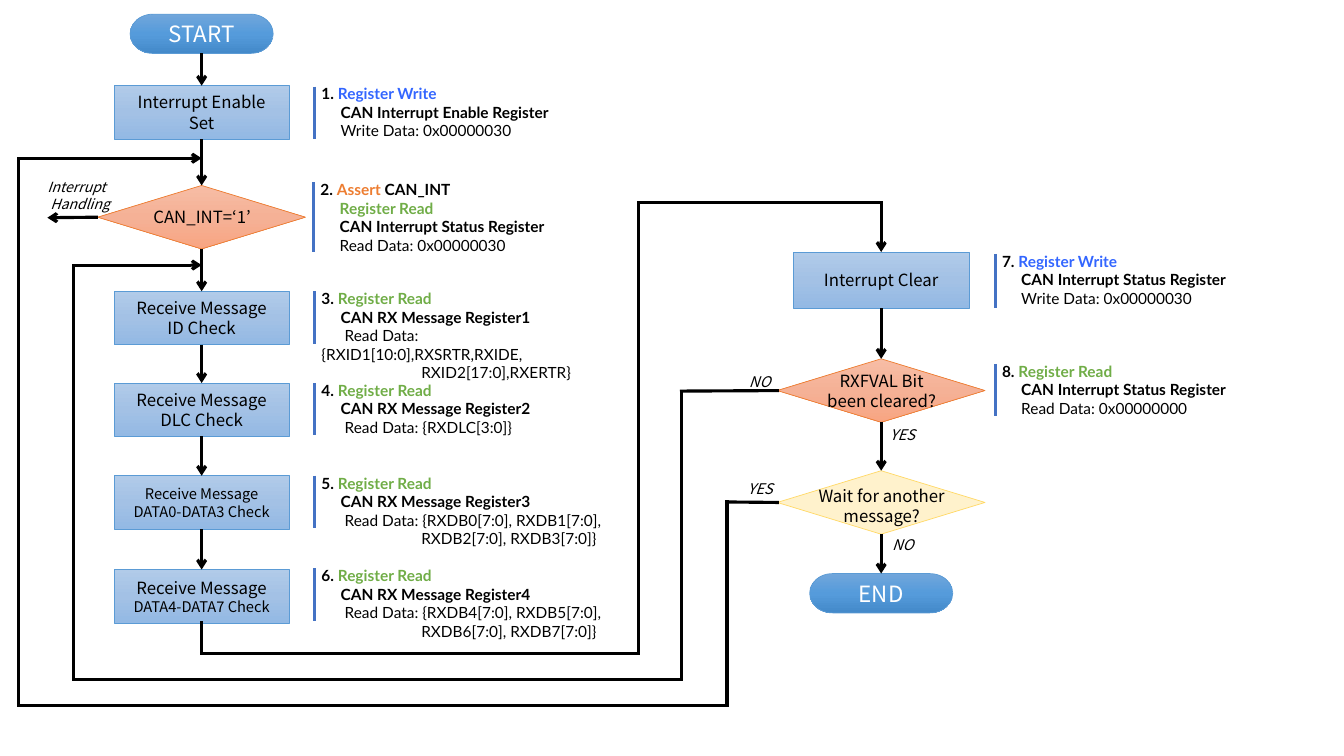
import copy
import dataclasses
import typing

import lxml.etree
import pptx
import pptx.dml.color
import pptx.enum.shapes
import pptx.enum.text
import pptx.oxml.ns
import pptx.util

RGB = pptx.dml.color.RGBColor
SHAPE = pptx.enum.shapes.MSO_SHAPE
ALIGN = pptx.enum.text.PP_ALIGN
ANCHOR = pptx.enum.text.MSO_ANCHOR
AUTO_SIZE = pptx.enum.text.MSO_AUTO_SIZE
qn = pptx.oxml.ns.qn

PX = 9144  # EMU; 100 px to the inch
BOX_FONT = "Noto Sans CJK JP"
NOTE_FONT = "Lato"
BLACK = RGB(0x00, 0x00, 0x00)
WHITE = RGB(0xFF, 0xFF, 0xFF)
STEP_LINE = RGB(0x5B, 0x9B, 0xD5)
CHECK_LINE = RGB(0xED, 0x7D, 0x31)
WAIT_FILL = RGB(0xFF, 0xF2, 0xCC)
WAIT_LINE = RGB(0xFF, 0xD9, 0x66)
BAR_BLUE = RGB(0x44, 0x72, 0xC4)
WRITE_BLUE = RGB(0x33, 0x66, 0xFF)
READ_GREEN = RGB(0x70, 0xAD, 0x47)
END_FILLS = (RGB(0x71, 0xA6, 0xDB), RGB(0x55, 0x9B, 0xDB), RGB(0x44, 0x8A, 0xCA))
STEP_FILLS = (RGB(0xB1, 0xCB, 0xE9), RGB(0xA3, 0xC1, 0xE5), RGB(0x93, 0xB9, 0xE4))
CHECK_FILLS = (RGB(0xF7, 0xBD, 0xA5), RGB(0xF5, 0xB1, 0x96), RGB(0xF8, 0xA5, 0x82))
ACTION_COLORS = {"Register Write": WRITE_BLUE, "Register Read": READ_GREEN}

LEFT_AXIS, RIGHT_AXIS = 200, 874
TOP, LEFT, BOTTOM = 0, 1, 2


@dataclasses.dataclass(frozen=True)
class Style:
    shape: int
    width: int
    height: int
    fills: tuple
    line: RGB
    font: RGB = BLACK


@dataclasses.dataclass(frozen=True)
class Line:
    text: str
    size: float = 12


@dataclasses.dataclass(frozen=True)
class Node:
    style: Style
    top: int
    lines: tuple
    label_drop: int = 16


@dataclasses.dataclass(frozen=True)
class Note:
    left: int
    top: int
    number: int
    action: str
    register: str
    data: str
    more: str = ""
    asserted: str = ""
    width: int = 291
    bar: int = 52


@dataclasses.dataclass(frozen=True)
class Route:
    source: str
    side: int
    points: tuple
    target: str = ""


@dataclasses.dataclass(frozen=True)
class Branch:
    text: str
    left: int
    top: int
    width: int


END = Style(SHAPE.FLOWCHART_TERMINATOR, 142, 39, END_FILLS, STEP_LINE, WHITE)
STEP = Style(SHAPE.RECTANGLE, 174, 53, STEP_FILLS, STEP_LINE)
CLEAR = dataclasses.replace(STEP, height=56)
CHECK = Style(SHAPE.FLOWCHART_DECISION, 206, 63, CHECK_FILLS, CHECK_LINE)
WAIT = dataclasses.replace(CHECK, fills=(WAIT_FILL,), line=WAIT_LINE)

COLUMNS = {
    LEFT_AXIS: {
        "start": Node(END, 14, (Line("START", 16),)),
        "enable": Node(STEP, 85, (Line("Interrupt Enable Set"),)),
        "interrupt": Node(CHECK, 184, (Line("CAN_INT=‘1’"),)),
        "id": Node(STEP, 289, (Line("Receive Message"), Line("ID Check"))),
        "dlc": Node(STEP, 380, (Line("Receive Message DLC Check"),)),
        "data0": Node(STEP, 472, (Line("Receive Message DATA0-DATA3 Check", 10.5),)),
        "data4": Node(STEP, 565, (Line("Receive Message"), Line("DATA4-DATA7 Check", 10.5))),
    },
    RIGHT_AXIS: {
        "clear": Node(CLEAR, 250, (Line("Interrupt Clear"),)),
        "cleared": Node(CHECK, 356, (Line("RXFVAL Bit"), Line("been cleared?"))),
        "wait": Node(WAIT, 467, (Line("Wait for another message?"),), 19),
        "end": Node(END, 569, (Line("END", 16),)),
    },
}
ROUTES = (
    Route("interrupt", LEFT, ((97, 216), (47, 216))),
    Route("data4", BOTTOM, ((200, 618), (200, 648), (633, 648), (633, 201), (874, 201), (874, 250)), "clear"),
    Route("cleared", LEFT, ((771, 388), (676, 388), (676, 674), (73, 674), (73, 263), (200, 263))),
    Route("wait", LEFT, ((771, 498), (721, 498), (721, 700), (18, 700), (18, 157), (200, 157))),
)
NOTES = (
    Note(309, 79, 1, "Register Write", "CAN Interrupt Enable Register", "Write Data: 0x00000030"),
    Note(308, 174, 2, "Register Read", "CAN Interrupt Status Register", "Read Data: 0x00000030",
         asserted="CAN_INT", bar=69),
    Note(309, 282, 3, "Register Read", "CAN RX Message Register1",
         "Read Data: {RXID1[10:0],RXSRTR,RXIDE,", "RXID2[17:0],RXERTR}"),
    Note(309, 373, 4, "Register Read", "CAN RX Message Register2", "Read Data: {RXDLC[3:0]}"),
    Note(309, 465, 5, "Register Read", "CAN RX Message Register3",
         "Read Data: {RXDB0[7:0], RXDB1[7:0],", "RXDB2[7:0], RXDB3[7:0]}", width=300),
    Note(309, 557, 6, "Register Read", "CAN RX Message Register4",
         "Read Data: {RXDB4[7:0], RXDB5[7:0],", "RXDB6[7:0], RXDB7[7:0]}", width=300),
    Note(984, 245, 7, "Register Write", "CAN Interrupt Status Register", "Write Data: 0x00000030", bar=54),
    Note(984, 354, 8, "Register Read", "CAN Interrupt Status Register", "Read Data: 0x00000000"),
)
BRANCHES = (
    Branch("YES", 729, 471, 50), Branch("NO", 874, 527, 43),
    Branch("YES", 870, 418, 50), Branch("NO", 732, 365, 43),
)


def add_text_box(slide, left: int, top: int, width: int, height: int, grow: bool = True):
    tf = slide.shapes.add_textbox(left * PX, top * PX, width * PX, height * PX).text_frame
    tf.word_wrap = True
    tf.auto_size = AUTO_SIZE.SHAPE_TO_FIT_TEXT if grow else AUTO_SIZE.NONE
    return tf


def add_paragraph(tf, runs: typing.Sequence, size: float, font: str = BOX_FONT, bold: bool = False,
                  italic: bool = False, align=ALIGN.LEFT, indent: int = 0) -> None:
    """Fill the frame's empty first paragraph, or append one, with (text, colour) runs."""
    p = tf.paragraphs[0] if not tf.paragraphs[0].runs else tf.add_paragraph()
    p.alignment = align
    p.font.size, p.font.name = pptx.util.Pt(size), font
    p.font.bold, p.font.italic = bold, italic
    if indent:
        p._p.get_or_add_pPr().set("indent", str(indent * PX))
    for text, color in runs:
        r = p.add_run()
        r.text = text
        r.font.size, r.font.name = pptx.util.Pt(size), font
        r.font.bold, r.font.italic = bold, italic
        r.font.color.rgb = color


def fill_shape(sp, colors: tuple) -> None:
    """Paint one colour plainly, or three as a gradient from top to bottom."""
    if len(colors) == 1:
        sp.fill.solid()
        sp.fill.fore_color.rgb = colors[0]
        return
    sp.fill.gradient()
    sp.fill.gradient_angle = 270
    stops = sp._element.spPr.find(".//" + qn("a:gsLst"))
    stops.insert(1, copy.deepcopy(stops[0]))
    for stop, color, position in zip(sp.fill.gradient_stops, colors, (0, 0.5, 1)):
        stop.color.rgb, stop.position = color, position


def draw_node(slide, node: Node, axis: int):
    style = node.style
    sp = slide.shapes.add_shape(style.shape, (axis - style.width // 2) * PX, node.top * PX,
                                style.width * PX, style.height * PX)
    sp.shadow.inherit = False
    fill_shape(sp, style.fills)
    sp.line.color.rgb, sp.line.width = style.line, pptx.util.Pt(0.5)
    tf = sp.text_frame
    if style.shape == SHAPE.FLOWCHART_DECISION:
        tf = add_text_box(slide, axis - 91, node.top + node.label_drop, 183, 31, grow=False)
    tf.word_wrap, tf.vertical_anchor = True, ANCHOR.MIDDLE
    for line in node.lines:
        add_paragraph(tf, [(line.text, style.font)], line.size, align=ALIGN.CENTER)
    return sp


def draw_line(slide, start: tuple, end: tuple, color: RGB = BLACK, arrow: bool = False):
    c = slide.shapes.add_connector(pptx.enum.shapes.MSO_CONNECTOR.STRAIGHT, *(v * PX for v in start + end))
    c.line.color.rgb, c.line.width = color, pptx.util.Pt(2.25)
    ln = c.line._get_or_add_ln()
    if arrow:
        lxml.etree.SubElement(ln, qn("a:tailEnd"), type="arrow")
    elif color == BLACK:
        ln.set("cap", "sq")
    lxml.etree.SubElement(c._element.spPr, qn("a:effectLst"))
    return c


def draw_route(slide, route: Route, shapes: dict) -> None:
    last = len(route.points) - 2
    for i, (start, end) in enumerate(zip(route.points, route.points[1:])):
        c = draw_line(slide, start, end, arrow=i == last)
        if i == 0:
            c.begin_connect(shapes[route.source], route.side)
        if i == last and route.target:
            c.end_connect(shapes[route.target], TOP)


def draw_note(slide, note: Note) -> None:
    tf = add_text_box(slide, note.left, note.top, note.width, 84 if note.more or note.asserted else 66)
    number, action = (f"{note.number}. ", BLACK), (note.action, ACTION_COLORS[note.action])
    if note.asserted:
        add_paragraph(tf, [number, ("Assert ", CHECK_LINE), (note.asserted, BLACK)], 11, NOTE_FONT, True)
        add_paragraph(tf, [action], 11, NOTE_FONT, True, indent=19)
    else:
        add_paragraph(tf, [number, action], 11, NOTE_FONT, True)
    add_paragraph(tf, [(note.register, BLACK)], 11, NOTE_FONT, True, indent=19)
    add_paragraph(tf, [(note.data, BLACK)], 11, NOTE_FONT, indent=23 if "{" in note.data else 19)
    if note.more:
        add_paragraph(tf, [(note.more, BLACK)], 11, NOTE_FONT, indent=99)
    x, y = note.left + 3, note.top + 7
    draw_line(slide, (x, y), (x, y + note.bar), BAR_BLUE)


def main() -> None:
    prs = pptx.Presentation()
    prs.slide_width, prs.slide_height = 1333 * PX, 750 * PX
    slide = prs.slides.add_slide(prs.slide_layouts[6])
    shapes = {}
    for axis, nodes in COLUMNS.items():
        column = {name: draw_node(slide, node, axis) for name, node in nodes.items()}
        shapes.update(column)
        flow = list(column.values())
        for upper, lower in zip(flow, flow[1:]):
            c = draw_line(slide, (axis, 0), (axis, 1), arrow=True)
            c.begin_connect(upper, BOTTOM)
            c.end_connect(lower, TOP)
    for route in ROUTES:
        draw_route(slide, route, shapes)
    for note in NOTES:
        draw_note(slide, note)
    for branch in BRANCHES:
        tf = add_text_box(slide, branch.left, branch.top, branch.width, 29)
        add_paragraph(tf, [(branch.text, BLACK)], 10.5, italic=True, align=ALIGN.CENTER)
    tf = add_text_box(slide, 47, 172, 73, 44)
    tf.margin_left = tf.margin_right = 0
    for text, indent in (("Interrupt", 0), ("Handling", 3)):
        add_paragraph(tf, [(text, BLACK)], 10, italic=True, indent=indent)
    prs.save("out.pptx")


if __name__ == "__main__":
    main()
